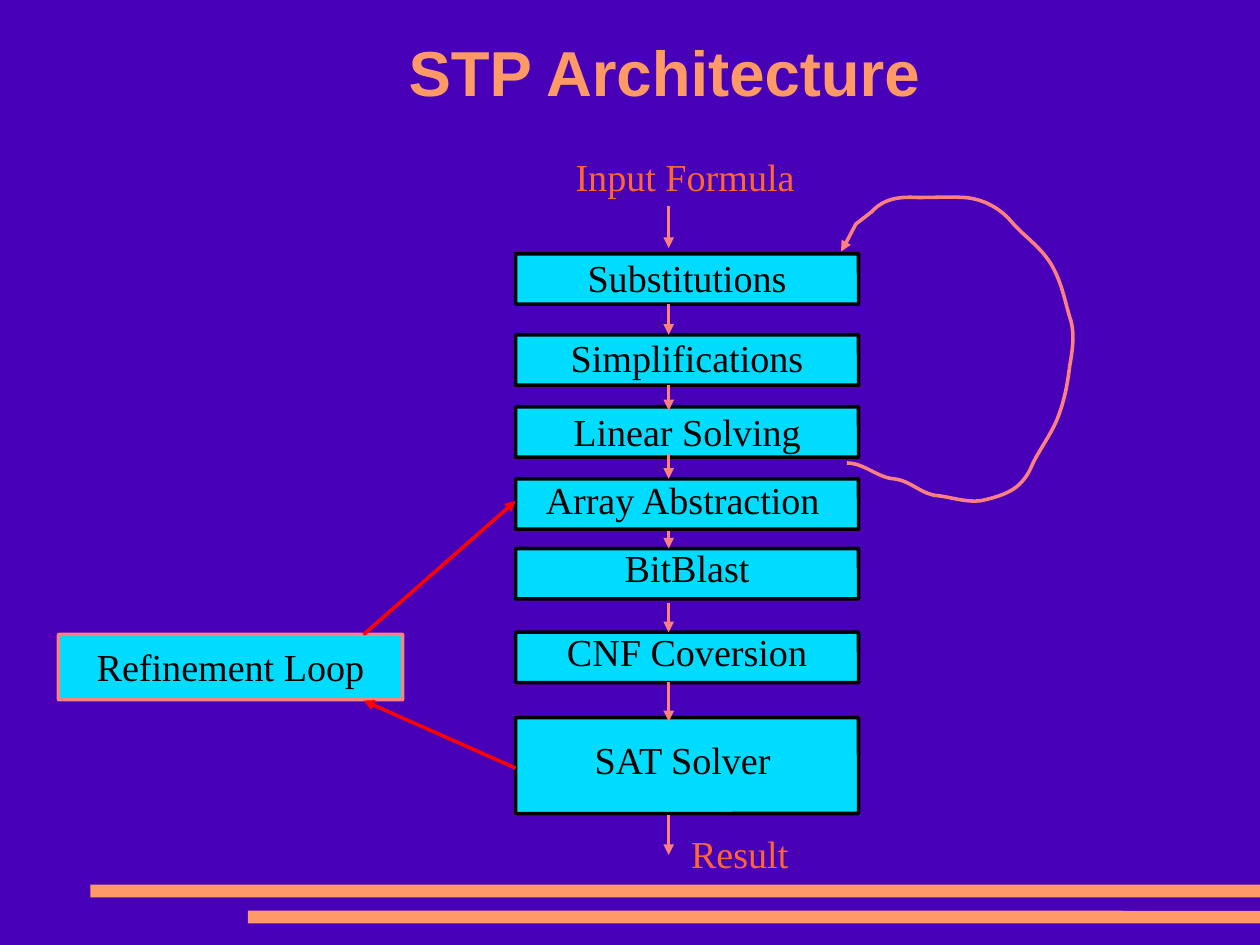
from lxml import etree
from pptx import Presentation
from pptx.dml.color import RGBColor
from pptx.enum import shapes, text
from pptx.oxml import ns
from pptx.util import Cm, Pt

PURPLE = RGBColor(0x47, 0x00, 0xB8)
ORANGE = RGBColor(0xFF, 0x99, 0x66)
DARK_ORANGE = RGBColor(0xFF, 0x66, 0x33)
PINK = RGBColor(0xFF, 0x80, 0x80)
CYAN = RGBColor(0x00, 0xDC, 0xFF)
RED = RGBColor(0xFF, 0x00, 0x00)
BLACK = RGBColor(0x00, 0x00, 0x00)

STAGE_LEFT, STAGE_WIDTH, STAGE_HEIGHT = 11.46, 7.62, 1.12
FLOW_X = 14.86

STAGES = [
    ("Substitutions", 5.64, STAGE_HEIGHT, 0.1, 0),
    ("Simplifications", 7.44, STAGE_HEIGHT, 0.08, 0),
    ("Linear Solving", 9.04, STAGE_HEIGHT, 0.13, 0),
    ("Array Abstraction", 10.64, STAGE_HEIGHT, 0.03, 0.2),
    ("BitBlast", 12.19, STAGE_HEIGHT, 0, 0),
    ("CNF Coversion", 14.05, STAGE_HEIGHT, 0, 0),
    ("SAT Solver", 15.95, 2.13, 0.51, 0.2),
]
FLOW_SPANS = [
    (4.57, 5.51), (6.76, 7.44), (8.56, 9.12), (10.08, 10.64),
    (11.79, 12.19), (13.41, 14.05), (15.16, 16.03), (18.11, 19),
]
LOOP_START = (18.82, 10.29)
LOOP_CURVES = [
    (19.2, 10.29), (19.51, 10.62), (19.86, 10.64),
    (20.27, 10.69), (20.47, 11), (20.88, 11.02),
    (21.23, 11.07), (21.59, 11.2), (21.92, 11.1),
    (22.3, 11), (22.66, 10.9), (22.89, 10.44),
    (23.06, 10.03), (23.34, 9.7), (23.5, 9.3),
    (23.65, 8.92), (23.72, 8.56), (23.77, 8.15),
    (23.83, 7.8), (23.9, 7.39), (23.77, 7.04),
    (23.65, 6.63), (23.6, 6.3), (23.37, 5.89),
    (23.11, 5.46), (22.76, 5.26), (22.48, 4.93),
    (22.2, 4.6), (21.82, 4.42), (21.44, 4.39),
    (21.11, 4.37), (20.75, 4.39), (20.4, 4.39),
    (20.04, 4.37), (19.66, 4.39), (19.38, 4.7),
]
LOOP_END = [(19.02, 4.98), (18.82, 5.36), (18.69, 5.59)]


class DiagramSlide:
    font_name = "Times New Roman"
    font_size = Pt(24)
    line_width = Pt(2.25)

    def __init__(self, presentation):
        self.slide = presentation.slides.add_slide(presentation.slide_layouts[5])
        fill = self.slide.background.fill
        fill.solid()
        fill.fore_color.rgb = PURPLE

    def set_text(self, shape, words, color, top=0, left=0, right=0):
        frame = shape.text_frame
        frame.text = words
        frame.vertical_anchor = text.MSO_ANCHOR.TOP
        frame.margin_left, frame.margin_top = Cm(left), Cm(top)
        frame.margin_right, frame.margin_bottom = Cm(right), 0
        paragraph = frame.paragraphs[0]
        paragraph.alignment = text.PP_ALIGN.CENTER
        paragraph.line_spacing = 0.93
        font = paragraph.runs[0].font
        font.name, font.size = self.font_name, self.font_size
        font.color.rgb = color
        return font

    def title(self, words):
        title = self.slide.shapes.title
        title.left, title.top = Cm(2.06), Cm(0.79)
        title.width, title.height = Cm(23.47), Cm(1.75)
        font = self.set_text(title, words, ORANGE, left=1.93)
        font.name, font.size, font.bold = "Arial", Pt(40), True
        title.text_frame.vertical_anchor = text.MSO_ANCHOR.MIDDLE
        title.text_frame.auto_size = text.MSO_AUTO_SIZE.NONE

    def label(self, words, left, top, width):
        box = self.slide.shapes.add_textbox(Cm(left), Cm(top), Cm(width), Cm(0.94))
        box.text_frame.word_wrap = True
        self.set_text(box, words, DARK_ORANGE)

    def box(self, left, top, width, height, color, outline=None):
        shape = self.slide.shapes.add_shape(
            shapes.MSO_SHAPE.ROUNDED_RECTANGLE,
            Cm(left), Cm(top), Cm(width), Cm(height))
        shape.adjustments[0] = 0.01
        shape.shadow.inherit = False
        shape.fill.solid()
        shape.fill.fore_color.rgb = color
        if outline is None:
            shape.line.fill.background()
        else:
            self.outline(shape, outline)
        return shape

    def outline(self, shape, color):
        shape.line.color.rgb = color
        shape.line.width = self.line_width

    def arrowhead(self, shape):
        line = shape.element.spPr.find(ns.qn("a:ln"))
        etree.SubElement(line, ns.qn("a:tailEnd"), type="triangle")

    def arrow(self, start, end, color):
        connector = self.slide.shapes.add_connector(
            shapes.MSO_CONNECTOR.STRAIGHT, *map(Cm, start + end))
        self.outline(connector, color)
        self.arrowhead(connector)
        etree.SubElement(connector.element.spPr, ns.qn("a:effectLst"))

    def curved_arrow(self, start, curves, straights, color):
        builder = self.slide.shapes.build_freeform(*map(Cm, start))
        points = [(Cm(x), Cm(y)) for x, y in curves + straights]
        builder.add_line_segments(points, close=False)
        shape = builder.convert_to_shape()
        shape.fill.background()
        shape.shadow.inherit = False
        self.outline(shape, color)
        self.arrowhead(shape)
        segments = list(shape.element.iter(ns.qn("a:lnTo")))[:len(curves)]
        for first in range(0, len(segments), 3):
            curve = etree.Element(ns.qn("a:cubicBezTo"))
            segments[first].addprevious(curve)
            for segment in segments[first:first + 3]:
                curve.append(segment[0])
                segment.getparent().remove(segment)


def main():
    presentation = Presentation()
    presentation.slide_width, presentation.slide_height = Cm(28), Cm(21)
    diagram = DiagramSlide(presentation)

    for left, top in ((2.01, 19.66), (5.51, 20.24)):
        diagram.box(left, top, 28 - left, 0.28, ORANGE)
    diagram.title("STP Architecture")
    diagram.label("Input Formula", 12.52, 3.51, 5.41)
    diagram.curved_arrow(LOOP_START, LOOP_CURVES, LOOP_END, PINK)

    refinement = diagram.box(1.3, 14.1, 7.65, 1.45, CYAN, PINK)
    diagram.set_text(refinement, "Refinement Loop", BLACK, top=0.28)
    for name, top, height, inset, right in STAGES:
        stage = diagram.box(STAGE_LEFT, top, STAGE_WIDTH, height, CYAN, BLACK)
        diagram.set_text(stage, name, BLACK, top=inset, right=right)

    for start, end in FLOW_SPANS:
        diagram.arrow((FLOW_X, start), (FLOW_X, end), PINK)
    diagram.arrow((STAGE_LEFT, 17.07), (8.08, 15.57), RED)
    diagram.arrow((8.08, 14.1), (STAGE_LEFT, 11.13), RED)
    diagram.label("Result", 15.27, 18.54, 2.34)
    presentation.save("out.pptx")


if __name__ == "__main__":
    main()
